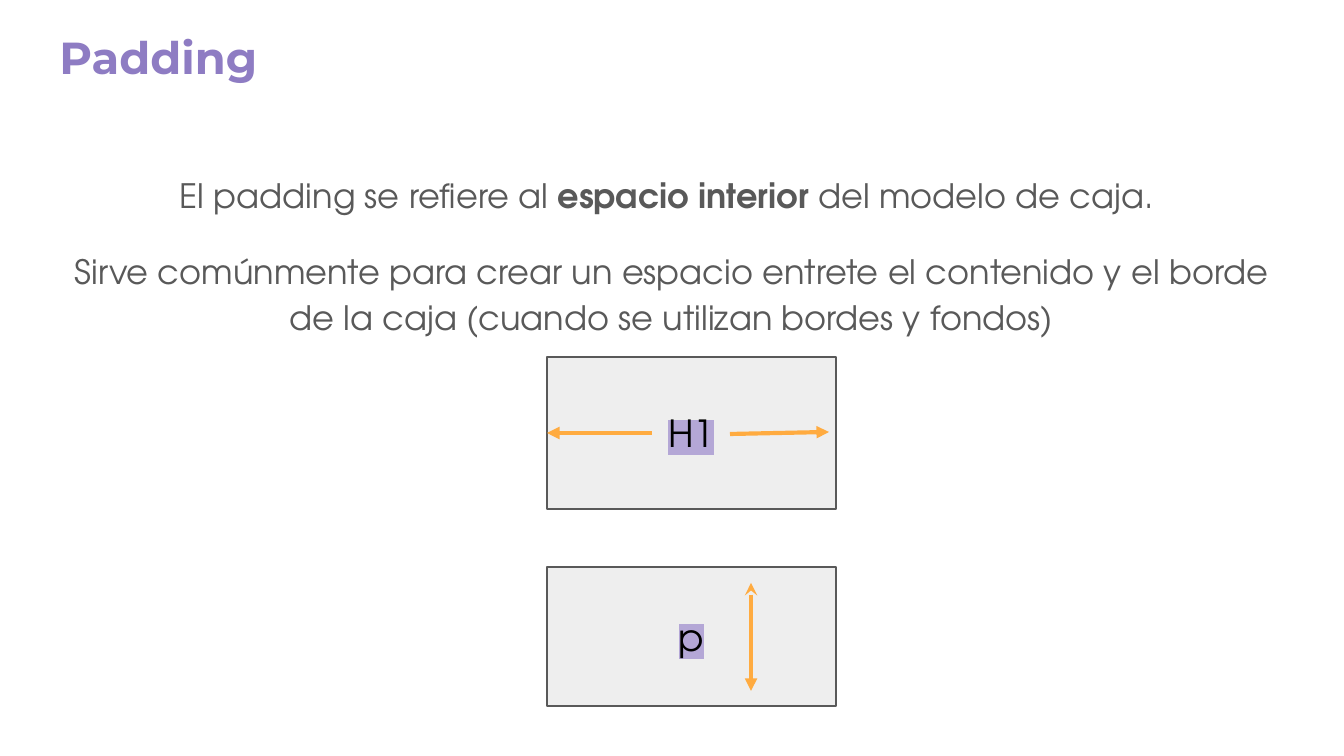
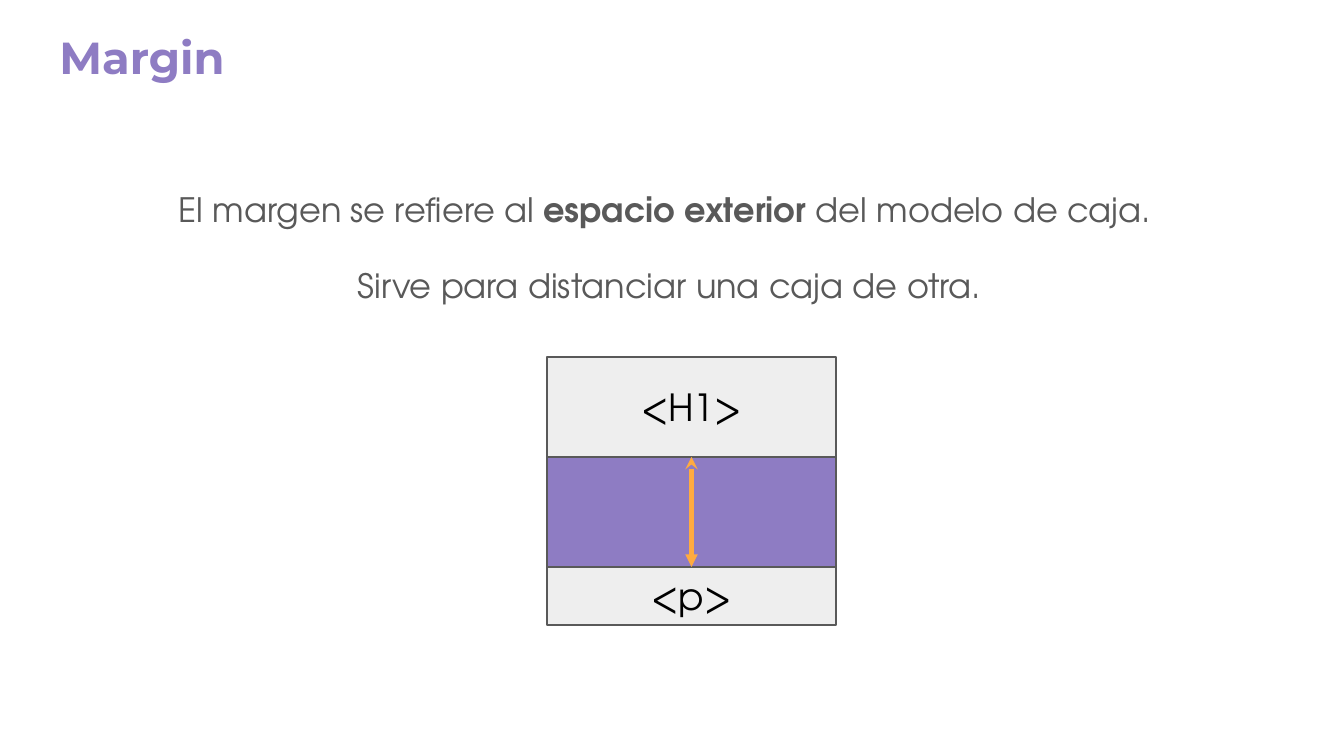
from lxml.etree import SubElement
from pptx import Presentation
from pptx.dml.color import RGBColor
from pptx.enum.shapes import MSO_CONNECTOR, MSO_SHAPE
from pptx.enum.text import MSO_ANCHOR, MSO_AUTO_SIZE, PP_ALIGN
from pptx.oxml.ns import qn
from pptx.util import Pt

PX = 914400 / 134.4
COLORS = {
    "purple": "8E7CC3",
    "lilac": "B4A7D6",
    "gray": "595959",
    "light": "EEEEEE",
    "orange": "FFAB40",
    "black": "000000",
}
TITLE_FONT = {"name": "Montserrat", "size": Pt(24), "bold": True}
BODY_FONT = {"name": "TeX Gyre Adventor", "size": Pt(18)}
LABEL_FONT = {"name": "TeX Gyre Adventor", "size": Pt(20)}
BOX_LEFT, BOX_WIDTH = 547, 289
TOP, LEFT, BOTTOM = 0, 1, 2

# Boxes: label, top, height, fill. Arrows: start, end, head, joined start, joined end,
# where a join is a box number and a connection site.
SLIDES = [
    {
        "title": "Padding",
        "body_at": (48, 155),
        "body": [
            [("El padding se refiere al ", False), ("espacio interior", True),
             (" del modelo de caja. ", False)],
            [("Sirve comúnmente para crear un espacio entrete el contenido y el borde "
              "de la caja (cuando se utilizan bordes y fondos)", False)],
        ],
        "boxes": [("H1", 357, 152, "light"), ("p", 567, 139, "light")],
        "highlight": True,
        "arrows": [
            ((751, 583), (751, 691), "stealth", None, None),
            ((730, 434), (829, 432), None, None, None),
            ((652, 433), (547, 433), None, None, (0, LEFT)),
        ],
    },
    {
        "title": "Margin",
        "body_at": (46, 169),
        "body": [
            [("El margen se refiere al ", False), ("espacio exterior ", True),
             ("del modelo de caja. ", False)],
            [("Sirve para distanciar una caja de otra.", False)],
        ],
        "boxes": [("<H1>", 357, 100, "light"), ("<p>", 567, 58, "light"),
                  ("", 457, 110, "purple")],
        "highlight": False,
        "arrows": [((691, 457), (691, 567), "stealth", (0, BOTTOM), (1, TOP))],
    },
]


def px(*lengths):
    return [round(length * PX) for length in lengths]


def add_span(para, text, font, color):
    """Add a run of text with the given font values and colour."""
    span = para.add_run()
    span.text = text
    for name, value in font.items():
        setattr(span.font, name, value)
    span.font.color.rgb = RGBColor.from_string(COLORS[color])
    return span


deck = Presentation()
deck.slide_width, deck.slide_height = px(1344, 756)
title_only = deck.slide_layouts[5]

for content in SLIDES:
    page = deck.slides.add_slide(title_only)

    title = page.shapes.title
    title.left, title.top, title.width, title.height = px(46, 16, 1253, 85)
    body = page.shapes.add_textbox(*px(*content["body_at"], 1247, 173))
    inset = px(13.44)[0]
    frame_format = {
        "word_wrap": True,
        "auto_size": MSO_AUTO_SIZE.NONE,
        "vertical_anchor": MSO_ANCHOR.TOP,
        "margin_left": inset,
        "margin_top": inset,
        "margin_right": inset,
        "margin_bottom": inset,
    }
    for frame in (title.text_frame, body.text_frame):
        for name, value in frame_format.items():
            setattr(frame, name, value)

    para = title.text_frame.paragraphs[0]
    para.alignment = PP_ALIGN.LEFT
    add_span(para, content["title"], TITLE_FONT, "purple")

    for number, spans in enumerate(content["body"]):
        frame = body.text_frame
        para = frame.add_paragraph() if number else frame.paragraphs[0]
        para.alignment = PP_ALIGN.CENTER
        para.line_spacing = 1.15
        if number:
            para.space_before = para.space_after = Pt(16)
        for text, bold in spans:
            add_span(para, text, {**BODY_FONT, "bold": bold}, "gray")

    boxes = []
    for label, top, height, fill in content["boxes"]:
        box = page.shapes.add_shape(
            MSO_SHAPE.RECTANGLE, *px(BOX_LEFT, top, BOX_WIDTH, height))
        box.shadow.inherit = False
        box.fill.solid()
        box.fill.fore_color.rgb = RGBColor.from_string(COLORS[fill])
        box.line.color.rgb = RGBColor.from_string(COLORS["gray"])
        box.line.width = Pt(0.75)
        boxes.append(box)
        if not label:
            continue
        frame = box.text_frame
        for name, value in {**frame_format, "vertical_anchor": MSO_ANCHOR.MIDDLE}.items():
            setattr(frame, name, value)
        para = frame.paragraphs[0]
        para.alignment = PP_ALIGN.CENTER
        span = add_span(para, label, LABEL_FONT, "black")
        if content["highlight"]:
            properties = span.font._element
            highlight = SubElement(properties, qn("a:highlight"))
            SubElement(highlight, qn("a:srgbClr"), val=COLORS["lilac"])
            properties.find(qn("a:solidFill")).addnext(highlight)

    for start, end, head, start_join, end_join in content["arrows"]:
        arrow = page.shapes.add_connector(MSO_CONNECTOR.STRAIGHT, *px(*start, *end))
        if start_join:
            arrow.begin_connect(boxes[start_join[0]], start_join[1])
        if end_join:
            arrow.end_connect(boxes[end_join[0]], end_join[1])
        arrow.line.color.rgb = RGBColor.from_string(COLORS["orange"])
        arrow.line.width = Pt(2.25)
        line = arrow.line._get_or_add_ln()
        if head:
            SubElement(line, qn("a:headEnd"), type=head)
        SubElement(line, qn("a:tailEnd"), type="triangle")
        SubElement(arrow._element.spPr, qn("a:effectLst"))

deck.save("out.pptx")
